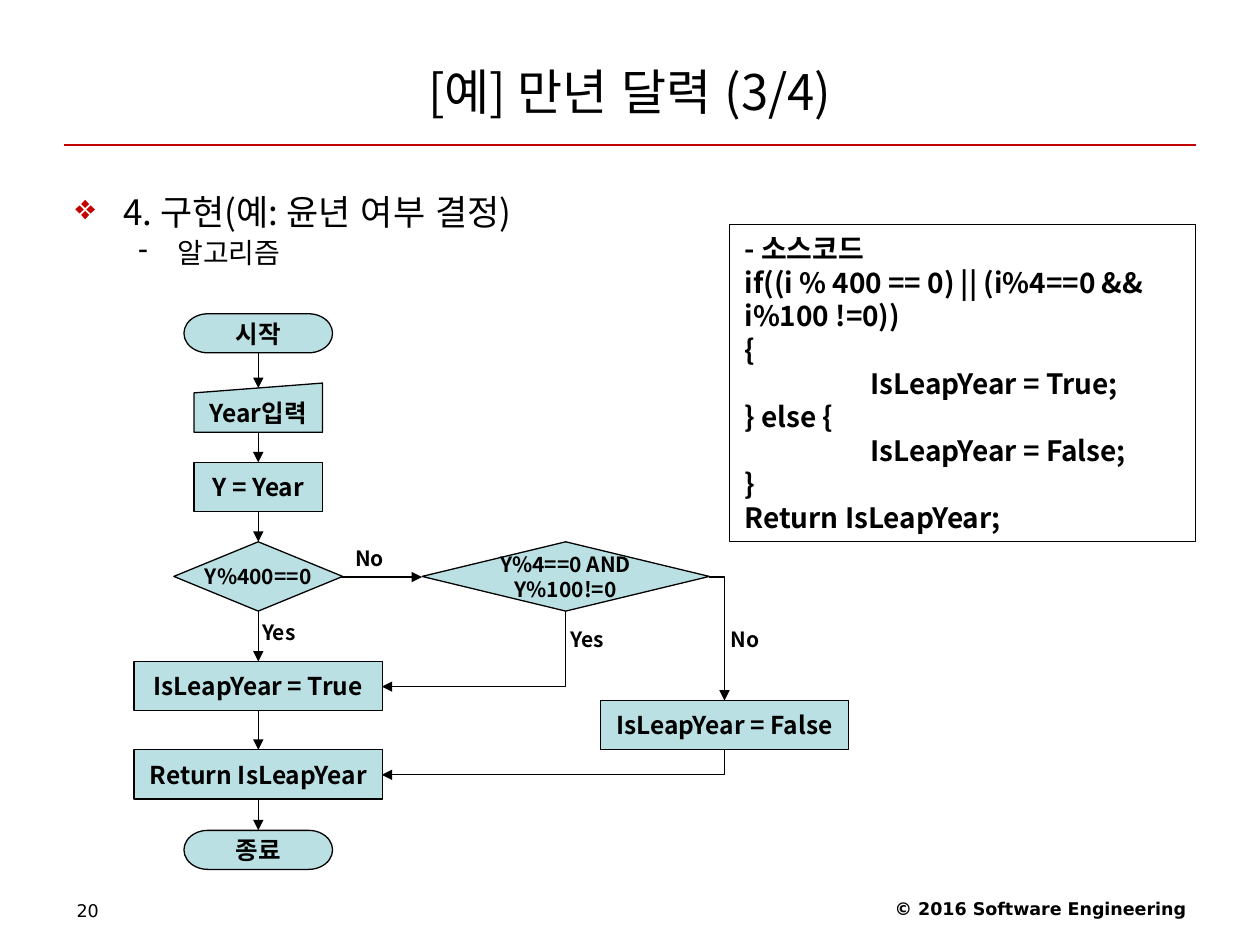
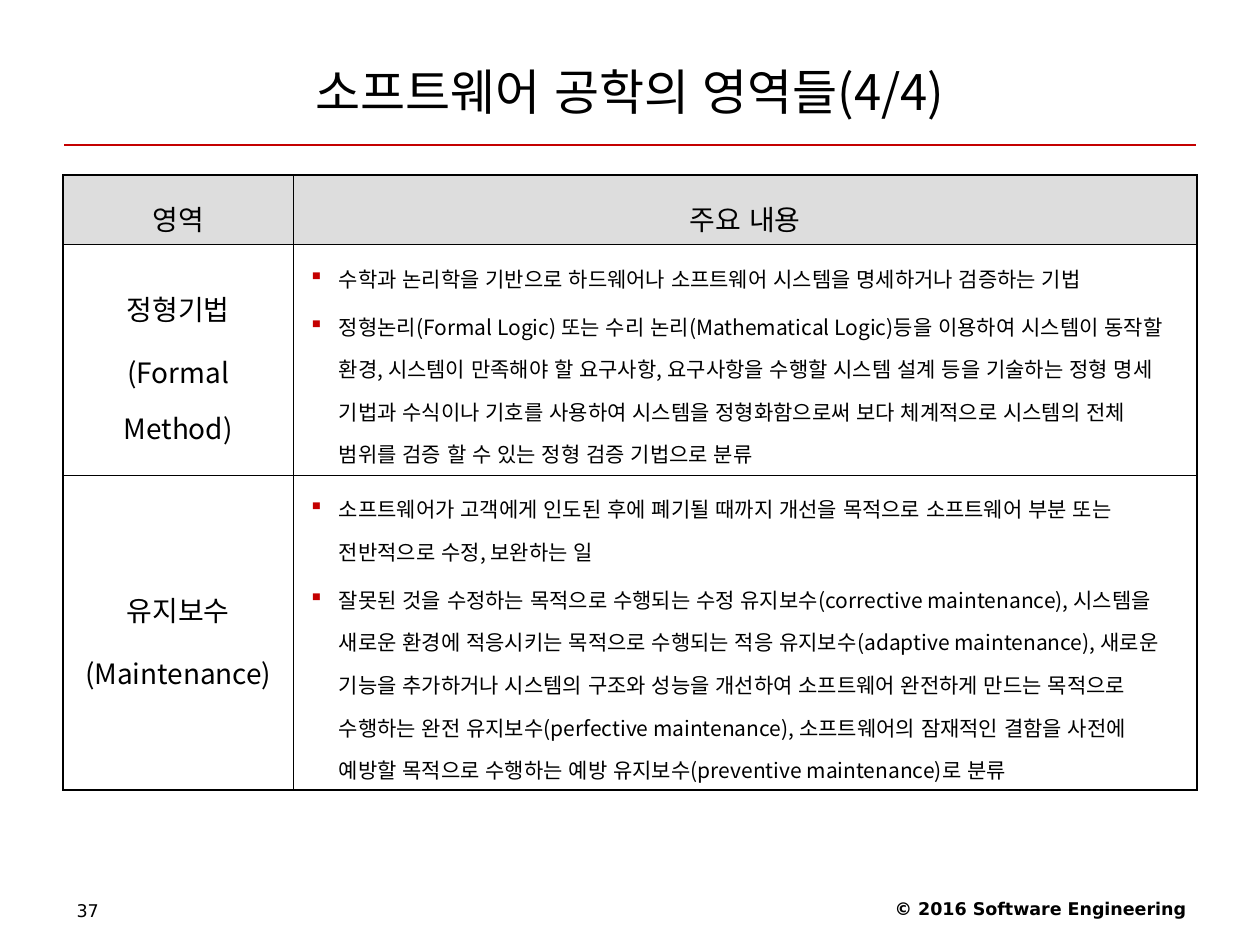
"""Build two software engineering lecture slides: a leap year flowchart and a table of fields."""
import itertools

import lxml.etree
import pptx
import pptx.dml.color
import pptx.enum.lang
import pptx.enum.shapes
import pptx.enum.text
import pptx.oxml.ns
import pptx.util

COLOURS = {"ink": "000000", "accent": "C40000", "node": "BBE0E3", "header": "DDDDDD"}
FONTS = {"main": "Noto Sans CJK KR", "footer": "DejaVu Sans"}
COLUMNS, ROWS = 100, 75
SHAPES = pptx.enum.shapes.MSO_SHAPE
ALIGN = pptx.enum.text.PP_ALIGN
ANCHOR = pptx.enum.text.MSO_ANCHOR

SOURCE_CODE = """- 소스코드
if((i % 400 == 0) || (i%4==0 && i%100 !=0))
{
\tIsLeapYear = True;
} else {
\tIsLeapYear = False;
}
Return IsLeapYear;"""

FIELDS = [
    ("정형기법\n(Formal Method)",
     "수학과 논리학을 기반으로 하드웨어나 소프트웨어 시스템을 명세하거나 검증하는 기법\n"
     "정형논리(Formal Logic) 또는 수리 논리(Mathematical Logic)등을 이용하여 시스템이 "
     "동작할 환경, 시스템이 만족해야 할 요구사항, 요구사항을 수행할 시스템 설계 등을 기술하는 "
     "정형 명세 기법과 수식이나 기호를 사용하여 시스템을 정형화함으로써 보다 체계적으로 시스템의 "
     "전체 범위를 검증 할 수 있는 정형 검증 기법으로 분류"),
    ("유지보수\n(Maintenance)",
     "소프트웨어가 고객에게 인도된 후에 폐기될 때까지 개선을 목적으로 소프트웨어 부분 또는 "
     "전반적으로 수정, 보완하는 일\n"
     "잘못된 것을 수정하는 목적으로 수행되는 수정 유지보수(corrective maintenance), 시스템을 "
     "새로운 환경에 적응시키는 목적으로 수행되는 적응 유지보수(adaptive maintenance), 새로운 "
     "기능을 추가하거나 시스템의 구조와 성능을 개선하여 소프트웨어 완전하게 만드는 목적으로 "
     "수행하는 완전 유지보수(perfective maintenance), 소프트웨어의 잠재적인 결함을 사전에 "
     "예방할 목적으로 수행하는 예방 유지보수(preventive maintenance)로 분류"),
]


def rgb(name):
    """Return a named colour."""
    return pptx.dml.color.RGBColor.from_string(COLOURS[name])


def add_xml(parent, tag, **attributes):
    """Append a drawing element with attributes and return it."""
    return lxml.etree.SubElement(parent, pptx.oxml.ns.qn(tag), attributes)


def write(frame, text, size=14, bold=False, font="main", align=ALIGN.LEFT, spacing=None,
          before=0, bullet=None, bullet_colour="accent", margin=0, hanging=0, tab=None):
    """Add one paragraph for each line of text."""
    for line in text.split("\n"):
        first = not frame.paragraphs[0].runs
        para = frame.paragraphs[0] if first else frame.add_paragraph()
        para.alignment = align
        if spacing:
            para.line_spacing = spacing
        if not first:
            para.space_before = pptx.util.Pt(before)
        properties = para._p.get_or_add_pPr()
        if bullet:
            properties.set("marL", str(pptx.util.Inches(margin)))
            properties.set("indent", str(-pptx.util.Inches(hanging)))
            add_xml(add_xml(properties, "a:buClr"), "a:srgbClr", val=COLOURS[bullet_colour])
            add_xml(properties, "a:buChar", char=bullet)
        if tab:
            stops = add_xml(properties, "a:tabLst")
            add_xml(stops, "a:tab", pos=str(pptx.util.Inches(tab)), algn="l")
        span = para.add_run()
        span.text = line
        span.font.size = pptx.util.Pt(size)
        span.font.bold = bold
        span.font.name = FONTS[font]
        span.font.color.rgb = rgb("ink")
        span.font.language_id = pptx.enum.lang.MSO_LANGUAGE_ID.KOREAN
        add_xml(span._r.get_or_add_rPr(), "a:ea", typeface=FONTS[font])


class Page:
    """Draw elements of the lecture style on one slide."""

    def __init__(self, deck, title, number):
        """Add a slide with its title, rule and footers."""
        self.column = deck.slide_width / COLUMNS
        self.row = deck.slide_height / ROWS
        self.slide = deck.slides.add_slide(deck.slide_layouts[6])
        self.shapes = self.slide.shapes
        self.line((5.1, 11.5), (94.9, 11.5), colour="accent")
        self.text(title, 5, 3, 90, 8.5, anchor=ANCHOR.MIDDLE, size=28, align=ALIGN.CENTER)
        self.text("© 2016 Software Engineering", 63.4, 70.8, 31.7, 2.9,
                  size=10, bold=True, font="footer", align=ALIGN.RIGHT)
        self.text(str(number), 5.1, 70.9, 23.3, 2.8, size=10, font="footer")

    def place(self, *numbers):
        """Turn alternating columns and rows into lengths."""
        units = itertools.cycle((self.column, self.row))
        return [pptx.util.Emu(round(number * unit)) for number, unit in zip(numbers, units)]

    def prepare(self, frame, anchor, wrap, inset=0.1):
        """Set the wrapping, anchor and insets of a text frame."""
        frame.word_wrap = wrap
        frame.vertical_anchor = anchor
        frame.margin_left = frame.margin_right = pptx.util.Inches(inset)
        frame.margin_top = frame.margin_bottom = pptx.util.Inches(inset / 2)
        return frame

    def text(self, text, left, top, width, height, anchor=ANCHOR.TOP, wrap=True,
             inset=0.1, **style):
        """Add a text box and return its frame."""
        box = self.shapes.add_textbox(*self.place(left, top, width, height))
        frame = self.prepare(box.text_frame, anchor, wrap, inset)
        write(frame, text, **style)
        return frame

    def box(self, kind, text, left, top, width, height, fill=None,
            anchor=ANCHOR.MIDDLE, wrap=False, size=14, **style):
        """Add an outlined shape with bold text."""
        box = self.shapes.add_shape(kind, *self.place(left, top, width, height))
        box.shadow.inherit = False
        if fill:
            box.fill.solid()
            box.fill.fore_color.rgb = rgb(fill)
        else:
            box.fill.background()
        box.line.color.rgb = rgb("ink")
        box.line.width = pptx.util.Pt(0.75)
        write(self.prepare(box.text_frame, anchor, wrap, 0.12), text, size=size, bold=True,
              spacing=pptx.util.Pt(1.2 * size), **style)

    def node(self, kind, text, centre, top, width, height, size=14):
        """Add a flowchart step centred on a column."""
        self.box(kind, text, centre - width / 2, top, width, height,
                 fill="node", size=size, align=ALIGN.CENTER)

    def label(self, text, left, top):
        """Name a branch of the flowchart."""
        self.text(text, left, top, 5.3, 3.2, wrap=False, inset=0.12,
                  size=12, bold=True, spacing=pptx.util.Pt(14.4))

    def line(self, start, end, colour="ink", arrow=False,
             kind=pptx.enum.shapes.MSO_CONNECTOR.STRAIGHT):
        """Add a connector, with an arrowhead on request."""
        connector = self.shapes.add_connector(kind, *self.place(*start, *end))
        connector.line.color.rgb = rgb(colour)
        connector.line.width = pptx.util.Pt(0.75)
        if arrow:
            add_xml(connector.line._get_or_add_ln(), "a:tailEnd", type="triangle")
        add_xml(connector._element.spPr, "a:effectLst")
        return connector

    def elbow(self, start, end):
        """Add an arrow with one turn: right then down, or down then left."""
        (x1, y1), (x2, y2) = start, end
        turned = x2 < x1
        if turned:
            middle_x, middle_y = (x1 + x2) / 2, (y1 + y2) / 2
            across, down = (y2 - y1) / 2, (x1 - x2) / 2
            start = middle_x - across, middle_y - down
            end = middle_x + across, middle_y + down
        connector = self.line(start, end, arrow=True,
                              kind=pptx.enum.shapes.MSO_CONNECTOR.ELBOW)
        properties = connector._element.spPr
        properties.find(pptx.oxml.ns.qn("a:prstGeom")).set("prst", "bentConnector2")
        if turned:
            properties.find(pptx.oxml.ns.qn("a:xfrm")).set("rot", str(90 * 60000))

    def table(self, left, top, widths, heights):
        """Add a plain table with a grey header and a heavier outer border."""
        frame = self.shapes.add_table(
            len(heights), len(widths), *self.place(left, top, sum(widths), sum(heights)))
        table = frame.table
        table.first_row = table.horz_banding = False
        for column, width in zip(table.columns, widths):
            column.width = round(width * self.column)
        for row, height in zip(table.rows, heights):
            row.height = round(height * self.row)
        last_row, last_column = len(heights) - 1, len(widths) - 1
        for r, c in itertools.product(range(len(heights)), range(len(widths))):
            cell = table.cell(r, c)
            cell.vertical_anchor = ANCHOR.MIDDLE
            cell.margin_left = cell.margin_right = pptx.util.Inches(0.12)
            outer = {"L": c == 0, "R": c == last_column, "T": r == 0, "B": r == last_row}
            for side, heavy in outer.items():
                width = pptx.util.Pt(1.08 if heavy else 0.45)
                border = add_xml(cell._tc.get_or_add_tcPr(), f"a:ln{side}", w=str(width))
                add_xml(add_xml(border, "a:solidFill"), "a:srgbClr", val=COLOURS["ink"])
            if r == 0:
                cell.fill.solid()
                cell.fill.fore_color.rgb = rgb("header")
            else:
                cell.fill.background()
        return table


def build_flowchart(deck):
    """Build the leap year slide."""
    page = Page(deck, "[예] 만년 달력 (3/4)", 20)
    body = page.text("4. 구현(예: 윤년 여부 결정)", 5, 14.2, 90, 8, size=20, spacing=1.12,
                     bullet="❖", margin=0.38, hanging=0.38)
    write(body, "알고리즘", size=16, spacing=0.96, before=3.2, bullet="-",
          bullet_colour="ink", margin=0.81, hanging=0.31)
    page.box(SHAPES.RECTANGLE, SOURCE_CODE, 57.9, 17.8, 37, 25.2, anchor=ANCHOR.TOP,
             wrap=True, size=16, tab=1)

    spine, second, third = 20.5, 44.9, 57.5
    steps = [
        (SHAPES.FLOWCHART_TERMINATOR, "시작", 24.9, 11.8, 3.1, 14),
        (SHAPES.FLOWCHART_MANUAL_INPUT, "Year입력", 30.4, 10.2, 3.9, 14),
        (SHAPES.FLOWCHART_PROCESS, "Y = Year", 36.7, 10.2, 3.9, 14),
        (SHAPES.FLOWCHART_DECISION, "Y%400==0", 43, 13.4, 5.5, 12),
        (SHAPES.FLOWCHART_PROCESS, "IsLeapYear = True", 52.5, 19.7, 3.9, 14),
        (SHAPES.FLOWCHART_PROCESS, "Return IsLeapYear", 59.5, 19.7, 3.9, 14),
        (SHAPES.FLOWCHART_TERMINATOR, "종료", 65.9, 11.8, 3.1, 14),
    ]
    for kind, text, top, width, height, size in steps:
        page.node(kind, text, spine, top, width, height, size)
    page.node(SHAPES.FLOWCHART_DECISION, "Y%4==0 AND\nY%100!=0", second, 43, 22.8, 5.5, 12)
    page.node(SHAPES.FLOWCHART_PROCESS, "IsLeapYear = False", third, 55.6, 19.7, 3.9)

    for above, below in itertools.pairwise(steps):
        slope = 0.4 if below[0] == SHAPES.FLOWCHART_MANUAL_INPUT else 0
        page.line((spine, above[2] + above[4]), (spine, below[2] + slope), arrow=True)
    page.line((27.1, 45.8), (33.5, 45.8), arrow=True)
    page.elbow((56.3, 45.8), (third, 55.6))
    page.elbow((third, 59.5), (30.3, 61.5))
    page.elbow((second, 48.5), (30.3, 54.5))
    for text, left, top in [("Yes", 19.6, 48.6), ("Yes", 44.1, 49.1),
                            ("No", 56.8, 49.1), ("No", 27, 42.7)]:
        page.label(text, left, top)


def build_fields(deck):
    """Build the slide with the table of fields."""
    page = Page(deck, "소프트웨어 공학의 영역들(4/4)", 37)
    table = page.table(5, 13.9, [18.3, 71.7], [5.5, 18.3, 25])
    heading = {"size": 16, "align": ALIGN.CENTER, "spacing": 1.4, "before": 4}
    for column, text in enumerate(["영역", "주요 내용"]):
        write(table.cell(0, column).text_frame, text, **heading)
    for row, (field, details) in enumerate(FIELDS, start=1):
        write(table.cell(row, 0).text_frame, field, **heading)
        write(table.cell(row, 1).text_frame, details, size=12, spacing=1.4, before=3,
              bullet="▪", margin=0.24, hanging=0.24)


def main():
    """Build and save the deck."""
    deck = pptx.Presentation()
    deck.slide_width = pptx.util.Inches(10)
    deck.slide_height = pptx.util.Inches(7.5)
    build_flowchart(deck)
    build_fields(deck)
    deck.save("out.pptx")


if __name__ == "__main__":
    main()
